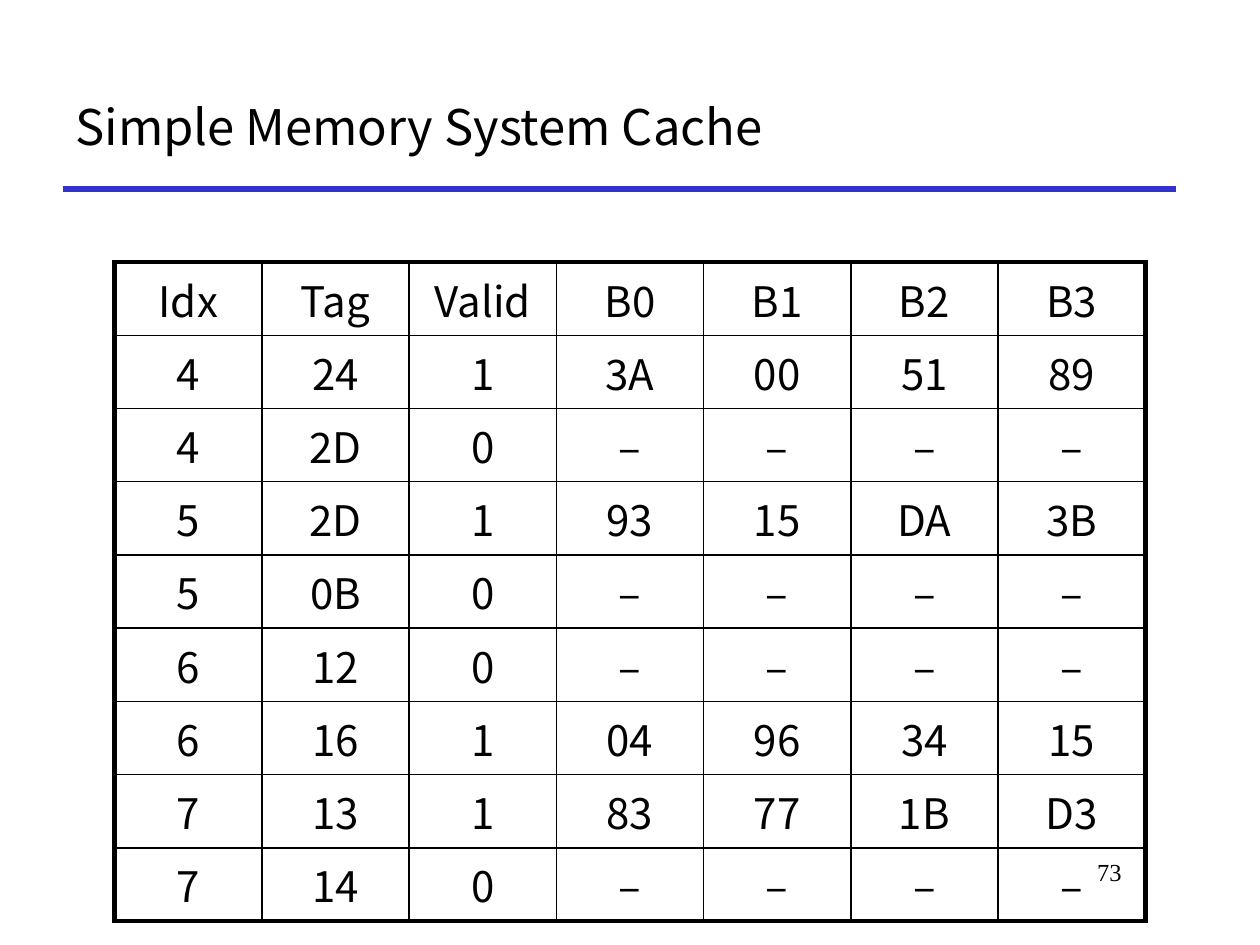
from dataclasses import dataclass

from lxml.etree import SubElement
from pptx import Presentation
from pptx.dml.color import RGBColor
from pptx.enum.shapes import MSO_CONNECTOR
from pptx.enum.text import MSO_ANCHOR, PP_ALIGN
from pptx.oxml.ns import qn
from pptx.util import Inches, Pt


@dataclass(frozen=True)
class Theme:
    ink: str = "000000"
    rule: str = "3333CC"
    body_font: str = "Noto Sans CJK KR"
    number_font: str = "Times New Roman"
    title_size: int = 28
    table_size: int = 24
    number_size: int = 14
    thick: int = 3
    thin: int = 1


THEME = Theme()

CACHE_ROWS = [
    ("Idx", "Tag", "Valid", "B0", "B1", "B2", "B3"),
    ("4", "24", "1", "3A", "00", "51", "89"),
    ("4", "2D", "0", "–", "–", "–", "–"),
    ("5", "2D", "1", "93", "15", "DA", "3B"),
    ("5", "0B", "0", "–", "–", "–", "–"),
    ("6", "12", "0", "–", "–", "–", "–"),
    ("6", "16", "1", "04", "96", "34", "15"),
    ("7", "13", "1", "83", "77", "1B", "D3"),
    ("7", "14", "0", "–", "–", "–", "–"),
]


def write(text_frame, text, font_name, size, alignment):
    paragraph = text_frame.paragraphs[0]
    paragraph.alignment = alignment
    run = paragraph.add_run()
    run.text = text
    run.font.name = font_name
    run.font.size = Pt(size)
    run.font.color.rgb = RGBColor.from_string(THEME.ink)


def add_title(slide, text, left, top, width, height):
    """Fill the title placeholder and underline its box with a rule."""
    title = slide.shapes.title
    title.left, title.top, title.width, title.height = left, top, width, height
    title.text_frame.vertical_anchor = MSO_ANCHOR.MIDDLE
    write(title.text_frame, text, THEME.body_font, THEME.title_size, PP_ALIGN.LEFT)

    bottom = top + height
    rule = slide.shapes.add_connector(
        MSO_CONNECTOR.STRAIGHT, left, bottom, left + width, bottom)
    rule.line.color.rgb = RGBColor.from_string(THEME.rule)
    rule.line.width = Pt(THEME.thick)
    SubElement(rule._element.spPr, qn("a:effectLst"))


def add_page_number(slide, number, left, top, width, height):
    box = slide.shapes.add_textbox(left, top, width, height)
    box.text_frame.word_wrap = True
    write(box.text_frame, number, THEME.number_font, THEME.number_size, PP_ALIGN.RIGHT)


def set_borders(cell, outer_sides):
    """Draw thick lines on the outer sides of the cell and thin ones elsewhere."""
    properties = cell._tc.get_or_add_tcPr()
    for side in "LRTB":
        weight = THEME.thick if side in outer_sides else THEME.thin
        line = SubElement(properties, qn(f"a:ln{side}"), w=str(Pt(weight)))
        fill = SubElement(line, qn("a:solidFill"))
        SubElement(fill, qn("a:srgbClr"), val=THEME.ink)


def add_cache_table(slide, rows, left, top, width, height):
    last_row, last_column = len(rows) - 1, len(rows[0]) - 1
    table = slide.shapes.add_table(
        len(rows), len(rows[0]), left, top, width, height).table
    table.first_row = False
    table.horz_banding = False
    for row_index, row in enumerate(rows):
        for column_index, text in enumerate(row):
            cell = table.cell(row_index, column_index)
            on_edge = {
                "L": column_index == 0,
                "R": column_index == last_column,
                "T": row_index == 0,
                "B": row_index == last_row,
            }
            set_borders(cell, [side for side, outer in on_edge.items() if outer])
            cell.fill.background()
            write(cell.text_frame, text, THEME.body_font, THEME.table_size,
                  PP_ALIGN.CENTER)


def main():
    presentation = Presentation()
    presentation.slide_width = Inches(10)
    presentation.slide_height = Inches(7.5)
    title_only = presentation.slide_layouts[5]
    slide = presentation.slides.add_slide(title_only)

    add_title(slide, "Simple Memory System Cache",
              Inches(0.5), Inches(0.5), Inches(8.83), Inches(1))
    add_page_number(slide, "73",
                    Inches(7.58), Inches(6.75), Inches(1.42), Inches(0.5))
    add_cache_table(slide, CACHE_ROWS,
                    Inches(0.91), Inches(2.08), Inches(8.18), Inches(5.23))
    presentation.save("out.pptx")


if __name__ == "__main__":
    main()
